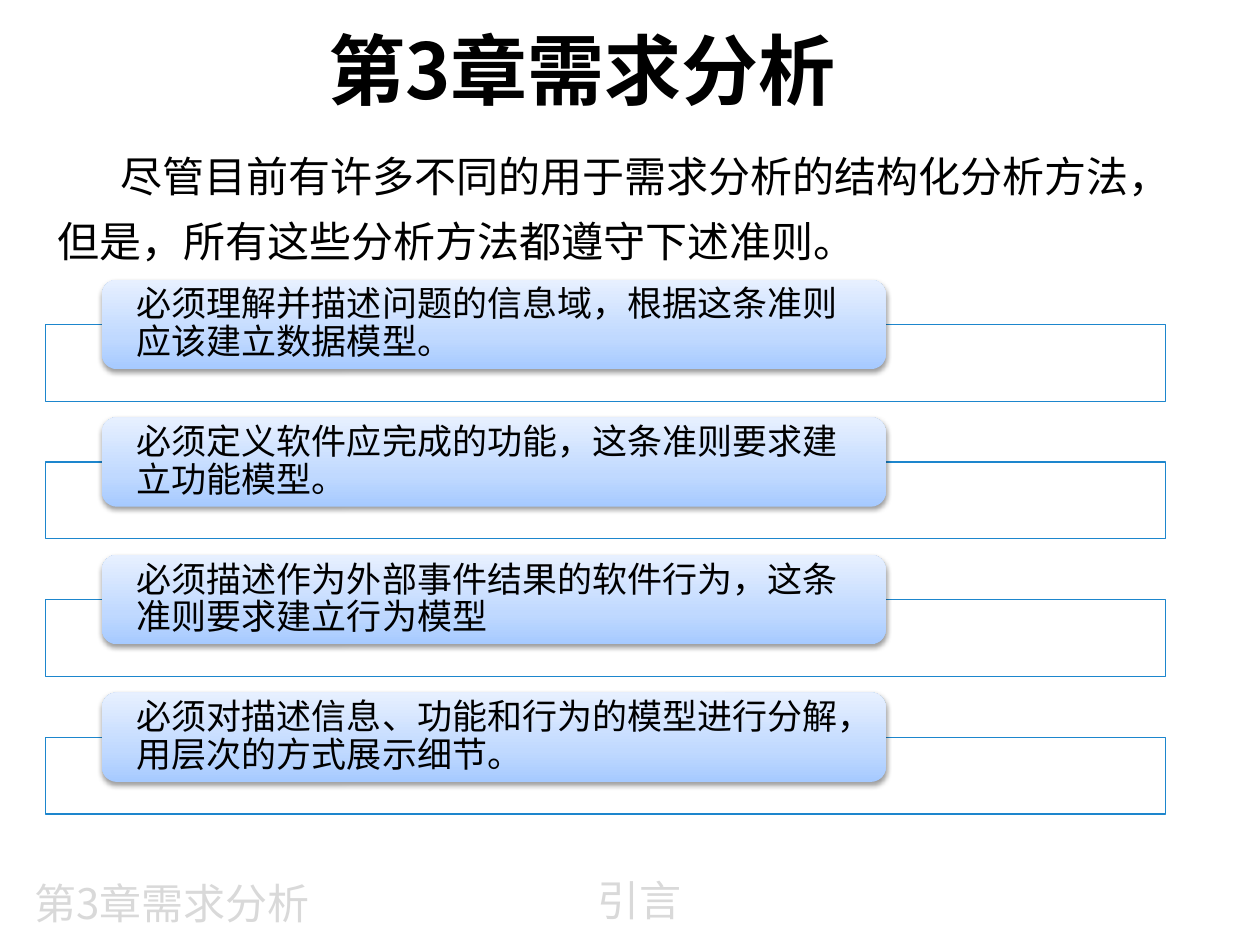
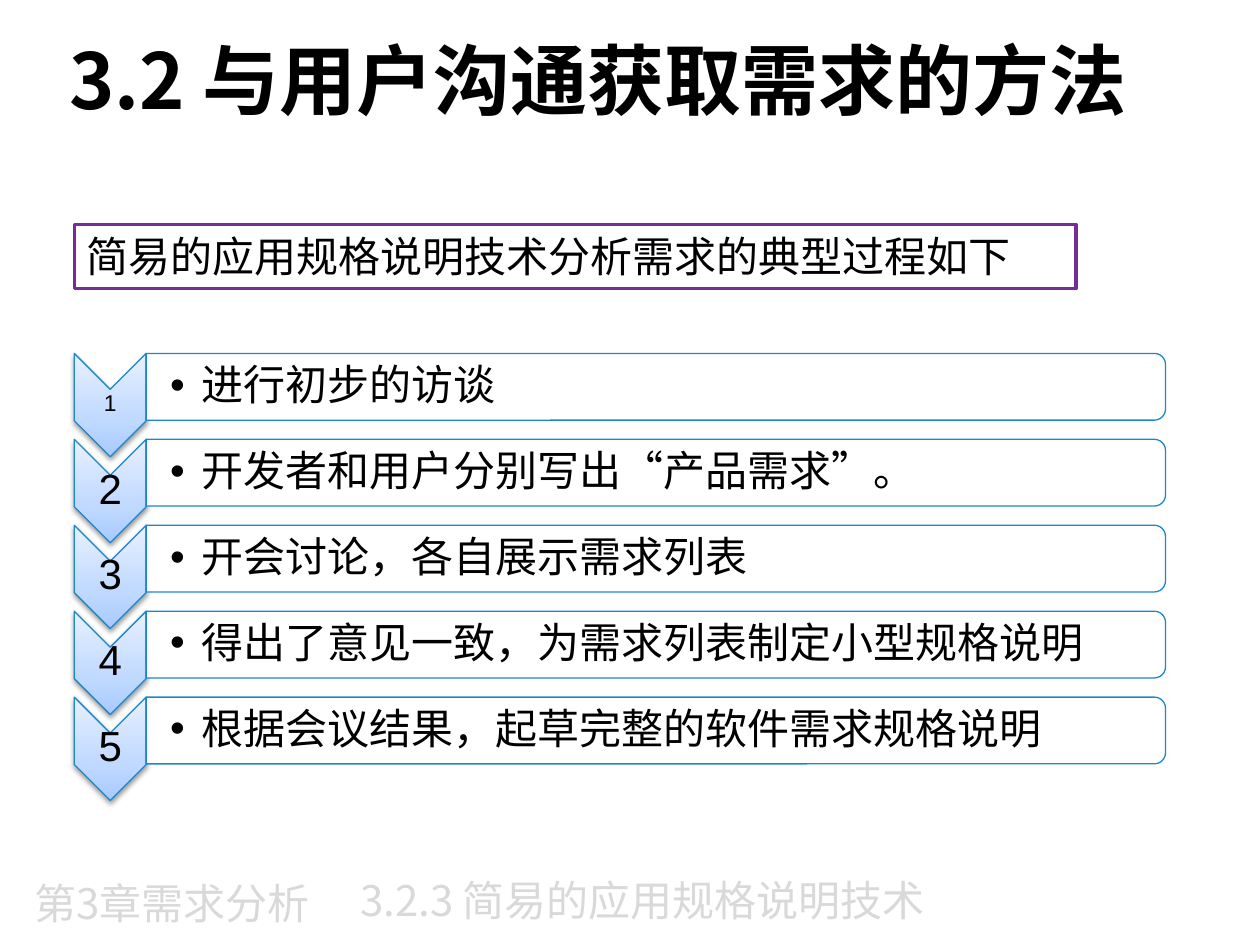
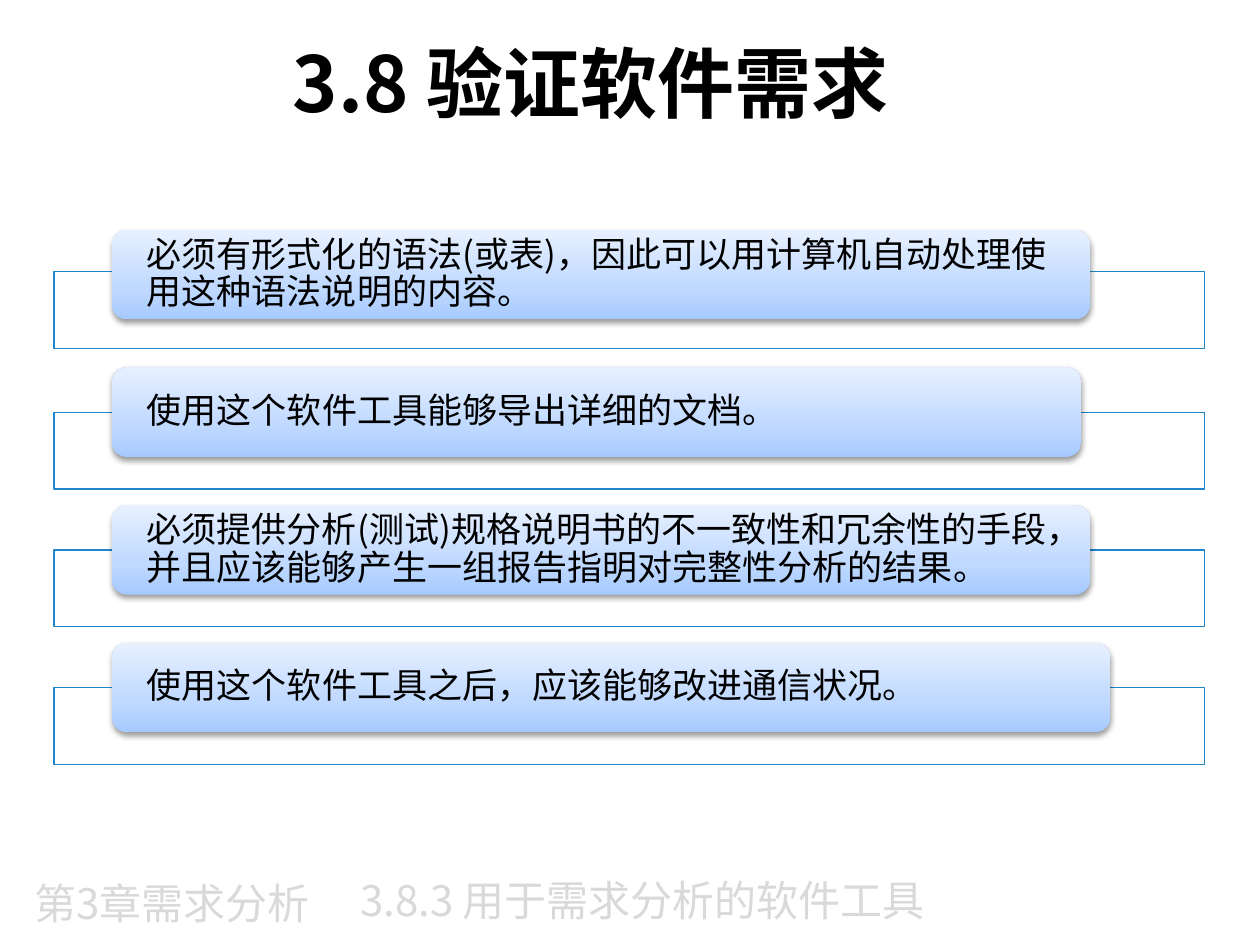
"""Build three slides on software requirements analysis."""
import pptx
import pptx.dml.color
import pptx.enum.shapes
import pptx.enum.text
import pptx.oxml.ns
import pptx.util
from lxml import etree

RGBColor = pptx.dml.color.RGBColor
MSO_SHAPE = pptx.enum.shapes.MSO_SHAPE
PP_ALIGN = pptx.enum.text.PP_ALIGN
MSO_ANCHOR = pptx.enum.text.MSO_ANCHOR
Pt = pptx.util.Pt
qn = pptx.oxml.ns.qn

BLACK = RGBColor(0x00, 0x00, 0x00)
WHITE = RGBColor(0xFF, 0xFF, 0xFF)
FOOTER_GRAY = RGBColor(0xD9, 0xD9, 0xD9)
OUTLINE_BLUE = RGBColor(0x1D, 0x86, 0xCD)
LABEL_PURPLE = RGBColor(0x73, 0x2E, 0x9A)
GRADIENT = (
    (0, RGBColor(0xA6, 0xCA, 0xFF)),
    (35, RGBColor(0xC0, 0xD9, 0xFF)),
    (100, RGBColor(0xE7, 0xF0, 0xFF)),
)
LATIN = "Arial"
CHINESE = "Noto Sans CJK SC"
CHAPTER = "第3章需求分析"
COLUMNS, ROWS = 100, 75
DEFAULT_INSETS = (1, 0.5, 1, 0.5)
CARD_STEP = 10.92
PROCESS_STEP = 6.82


def add_element(parent, tag, **attributes):
    element = etree.SubElement(parent, qn(tag))
    for name, value in attributes.items():
        element.set(name, str(value))
    return element


class Deck:
    """Hold the shared style and the current slide."""

    def __init__(self):
        self.presentation = pptx.Presentation()
        self.presentation.slide_width = pptx.util.Inches(10)
        self.presentation.slide_height = pptx.util.Inches(7.5)
        self.column = self.presentation.slide_width / COLUMNS
        self.row = self.presentation.slide_height / ROWS
        self.slide = None

    def start_slide(self, section, section_box):
        self.slide = self.presentation.slides.add_slide(self.presentation.slide_layouts[6])
        for text, box in ((section, section_box), (CHAPTER, (-1.5, 69, 30.3, 5.2))):
            self.text(box, text, font=CHINESE, color=FOOTER_GRAY, align=PP_ALIGN.CENTER)

    def place(self, box):
        left, top, width, height = box
        return (round(left * self.column), round(top * self.row),
                round(width * self.column), round(height * self.row))

    def fill_text(self, shape, *runs, font=LATIN, size=24, color=BLACK, bold=False,
                  align=PP_ALIGN.LEFT, anchor=MSO_ANCHOR.MIDDLE, insets=DEFAULT_INSETS,
                  spacing=None, first_indent=0, bullet=False):
        frame = shape.text_frame
        frame.word_wrap = True
        frame.vertical_anchor = anchor
        left, top, right, bottom = insets
        frame.margin_left, frame.margin_right = round(left * self.column), round(right * self.column)
        frame.margin_top, frame.margin_bottom = round(top * self.row), round(bottom * self.row)
        paragraph = frame.paragraphs[0]
        paragraph.alignment = align
        properties = paragraph._p.get_or_add_pPr()
        if bullet:
            hanging = round(2.5 * self.column)
            properties.set("marL", str(hanging))
            properties.set("indent", str(-hanging))
            add_element(properties, "a:buFont", typeface=LATIN)
            add_element(properties, "a:buChar", char="•")
        elif first_indent:
            properties.set("marL", "0")
            properties.set("indent", str(round(first_indent * self.column)))
        if spacing:
            paragraph.line_spacing = spacing
        paragraph.font.size = Pt(size)
        paragraph.font.bold = bold
        paragraph.font.color.rgb = color
        paragraph.font.name = font
        add_element(properties.find(qn("a:defRPr")), "a:ea", typeface=CHINESE)
        for text in runs:
            paragraph.add_run().text = text

    def text(self, box, *runs, **style):
        self.fill_text(self.slide.shapes.add_textbox(*self.place(box)), *runs, **style)

    def title(self, box, *runs, spacing=None):
        self.text(box, *runs, font=CHINESE, size=44, bold=True,
                  align=PP_ALIGN.CENTER, spacing=spacing)

    def shape(self, kind, box, line=None, line_width=0.75, turned=False):
        left, top, width, height = box
        if turned:
            box = (left + (width - height) / 2, top + (height - width) / 2, height, width)
        shape = self.slide.shapes.add_shape(kind, *self.place(box))
        shape.rotation = 90 if turned else 0
        shape.shadow.inherit = False
        shape.fill.solid()
        shape.fill.fore_color.rgb = WHITE
        if line is None:
            shape.line.fill.background()
        else:
            shape.line.color.rgb = line
            shape.line.width = Pt(line_width)
        return shape

    def panel(self, kind, box, turned=False):
        shape = self.shape(kind, box, OUTLINE_BLUE, turned=turned)
        color = shape._element.spPr.find(qn("a:solidFill"))[0]
        add_element(color, "a:alpha", val=90000)

    def raised(self, kind, box, line=None, turned=False):
        shape = self.shape(kind, box, line, turned=turned)
        shape.fill.gradient()
        shape.fill.gradient_angle = 90
        properties = shape._element.spPr
        gradient = properties.find(qn("a:gradFill"))
        gradient.set("rotWithShape", "0")
        stops = gradient.find(qn("a:gsLst"))
        for stop in list(stops):
            stops.remove(stop)
        for position, color in GRADIENT:
            stop = add_element(stops, "a:gs", pos=position * 1000)
            add_element(stop, "a:srgbClr", val=color)
        shadow = add_element(properties.find(qn("a:effectLst")), "a:outerShdw",
                             blurRad=Pt(3.1), dist=Pt(1.6), dir=5400000, rotWithShape=0)
        add_element(add_element(shadow, "a:srgbClr", val="000000"), "a:alpha", val=38000)
        return shape

    def cards(self, frame_left, frame_width, card_left, first_top, cards, font):
        for index, (text, width, frame_drop) in enumerate(cards):
            top = first_top + index * CARD_STEP
            self.panel(MSO_SHAPE.RECTANGLE, (frame_left, top + frame_drop, frame_width, 6.1))
            card = self.raised(MSO_SHAPE.ROUNDED_RECTANGLE, (card_left, top, width, 7.1))
            self.fill_text(card, text, font=font, size=20, insets=(2.4, 0, 2.4, 0), spacing=0.9)

    def process(self, first_top, steps):
        for index, (text, number_size) in enumerate(steps):
            top = first_top + index * PROCESS_STEP
            self.raised(MSO_SHAPE.CHEVRON, (5.9, top, 5.7, 8.2), OUTLINE_BLUE, turned=True)
            self.text((5.9, top + 2.85, 5.7, 2.4), str(index + 1), size=number_size,
                      align=PP_ALIGN.CENTER, insets=(0.2,) * 4, spacing=0.9)
            self.panel(MSO_SHAPE.ROUND_2_SAME_RECTANGLE, (11.6, top, 80.9, 5.3), turned=True)
            self.text((11.6, top + 0.28, 80.7, 4.8), text, insets=(1.9, 0.2, 0.2, 0.2),
                      spacing=0.9, bullet=True)


def main():
    deck = Deck()

    deck.start_slide("引言", (35.4, 68.8, 30.7, 5.2))
    deck.title((1.2, 0.3, 90, 9.6), CHAPTER, spacing=Pt(57.6))
    deck.text((3.6, 10.3, 87.4, 10.9),
              "尽管目前有许多不同的用于需求分析的结构化分析方法，但是，所有这些分析方法都遵守下述准则。",
              anchor=MSO_ANCHOR.TOP, spacing=Pt(37), first_indent=5)
    principles = (
        "必须理解并描述问题的信息域，根据这条准则应该建立数据模型。",
        "必须定义软件应完成的功能，这条准则要求建立功能模型。",
        "必须描述作为外部事件结果的软件行为，这条准则要求建立行为模型",
        "必须对描述信息、功能和行为的模型进行分解，用层次的方式展示细节。",
    )
    deck.cards(3.6, 88.9, 8.1, 22.2, [(text, 62.2, 3.55) for text in principles], LATIN)

    section_box = (26, 68.8, 50, 5.2)
    deck.start_slide("3.2.3 简易的应用规格说明技术", section_box)
    deck.title((2.5, 0, 90, 12.5), "3.2 ", "与用户沟通获取需求的方法")
    label = deck.shape(MSO_SHAPE.RECTANGLE, (5.9, 17.8, 79.5, 5.1), LABEL_PURPLE, 2)
    deck.fill_text(label, "简易的应用规格说明技术分析需求的典型过程如下", anchor=MSO_ANCHOR.TOP)
    deck.process(28.05, (
        ("进行初步的访谈", 13),
        ("开发者和用户分别写出“产品需求”。", 24),
        ("开会讨论，各自展示需求列表", 24),
        ("得出了意见一致，为需求列表制定小型规格说明", 24),
        ("根据会议结果，起草完整的软件需求规格说明", 24),
    ))

    deck.start_slide("3.8.3 用于需求分析的软件工具", section_box)
    deck.title((1.9, 0.2, 90, 12.5), "3.8 ", "验证软件需求")
    deck.cards(4.3, 91.3, 8.9, 18.25, (
        ("必须有形式化的语法(或表)，因此可以用计算机自动处理使用这种语法说明的内容。", 77.6, 3.3),
        ("使用这个软件工具能够导出详细的文档。", 76.9, 3.55),
        ("必须提供分析(测试)规格说明书的不一致性和冗余性的手段，并且应该能够产生一组报告指明对完整性分析的结果。", 77.6, 3.55),
        ("使用这个软件工具之后，应该能够改进通信状况。", 79.2, 3.55),
    ), CHINESE)

    deck.presentation.save("out.pptx")


if __name__ == "__main__":
    main()
